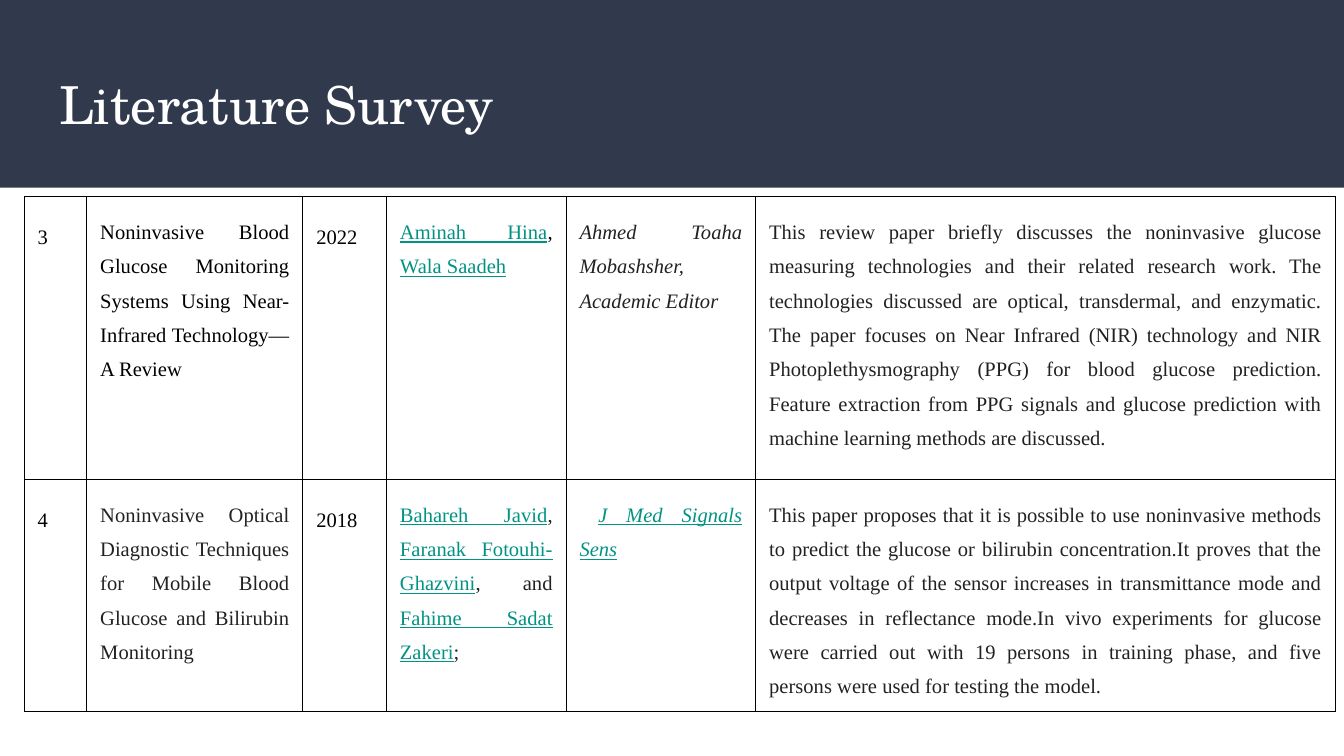
from dataclasses import dataclass

from lxml.etree import SubElement
from pptx import Presentation
from pptx.dml.color import RGBColor
from pptx.enum.shapes import MSO_SHAPE
from pptx.enum.text import MSO_ANCHOR, MSO_AUTO_SIZE, PP_ALIGN
from pptx.oxml.ns import qn
from pptx.util import Pt


@dataclass(frozen=True)
class Theme:
    """Colours, fonts and type sizes."""
    band: str = "31394D"
    white: str = "FFFFFF"
    black: str = "000000"
    dark: str = "212121"
    grey: str = "222222"
    link: str = "009384"
    head: str = "TeX Gyre Schola"
    body: str = "Times New Roman"
    big: float = 28
    small: float = 11
    inset: float = 7.2
    rule: float = 0.56


THEME = Theme()


@dataclass(frozen=True)
class Span:
    """A stretch of text in one look."""
    text: str
    color: str = THEME.grey
    italic: bool = False
    under: bool = False


def link(text, italic=False):
    """Return a span that looks like a link."""
    return Span(text, THEME.link, italic, True)


def black(text):
    """Return a plain black span."""
    return Span(text, THEME.black)


class Deck:
    """The style and the current slide."""

    def __init__(self, theme, width, height):
        self.theme = theme
        self.file = Presentation()
        self.file.slide_width, self.file.slide_height = Pt(width), Pt(height)
        self.slide = self.file.slides.add_slide(self.file.slide_layouts[5])

    def style(self, run, font, size, color):
        """Set the face, size and colour of a run."""
        run.font.name = font
        run.font.size = Pt(size)
        run.font.color.rgb = RGBColor.from_string(color)

    def inset(self, part):
        """Give a cell or text frame equal margins."""
        gap = Pt(self.theme.inset)
        part.margin_left = part.margin_right = gap
        part.margin_top = part.margin_bottom = gap

    def title(self, text, left, top, width, height):
        """Place and format the title."""
        box = self.slide.shapes.title
        box.left, box.top = Pt(left), Pt(top)
        box.width, box.height = Pt(width), Pt(height)
        frame = box.text_frame
        frame.text = text
        frame.auto_size = MSO_AUTO_SIZE.NONE
        frame.vertical_anchor = MSO_ANCHOR.MIDDLE
        self.inset(frame)
        line = frame.paragraphs[0]
        line.alignment = PP_ALIGN.LEFT
        self.style(line.runs[0], self.theme.head, self.theme.big, self.theme.white)

    def band(self, width, height):
        """Draw the header band behind the title."""
        shape = self.slide.shapes.add_shape(MSO_SHAPE.RECTANGLE, 0, 0, Pt(width), Pt(height))
        shape.shadow.inherit = False
        shape.fill.solid()
        shape.fill.fore_color.rgb = RGBColor.from_string(self.theme.band)
        shape.line.fill.background()
        self.slide.shapes.title.element.addprevious(shape.element)

    def border(self, cell):
        """Rule all four sides of a cell."""
        props = cell._tc.get_or_add_tcPr()
        for spot, side in enumerate(("lnL", "lnR", "lnT", "lnB")):
            line = SubElement(props, qn(f"a:{side}"), w=str(Pt(self.theme.rule)))
            fill = SubElement(line, qn("a:solidFill"))
            SubElement(fill, qn("a:srgbClr"), val=self.theme.black)
            props.insert(spot, line)

    def cell(self, cell, spans, lead, gap):
        """Fill one table cell with justified spans."""
        cell.fill.background()
        self.border(cell)
        self.inset(cell)
        para = cell.text_frame.paragraphs[0]
        para.alignment = PP_ALIGN.JUSTIFY
        para.line_spacing = lead
        para.space_before = para.space_after = Pt(gap)
        for span in spans:
            run = para.add_run()
            run.text = span.text
            self.style(run, self.theme.body, self.theme.small, span.color)
            run.font.italic = span.italic
            run.font.underline = span.under

    def table(self, rows, left, top, widths, heights, gaps):
        """Build the table; number and year columns have looser lines."""
        frame = self.slide.shapes.add_table(
            len(rows), len(widths), Pt(left), Pt(top), Pt(sum(widths)), Pt(sum(heights)))
        grid = frame.table
        grid.first_row = grid.horz_banding = False
        for col, width in zip(grid.columns, widths):
            col.width = Pt(width)
        for row, height, items, gap in zip(grid.rows, heights, rows, gaps):
            row.height = Pt(height)
            for spot, (cell, spans) in enumerate(zip(row.cells, items)):
                lead, space = (1.71, 19) if spot in (0, 2) else (1.5, gap)
                self.cell(cell, spans, lead, space)

    def save(self):
        """Write the file."""
        self.file.save("out.pptx")


ROWS = [
    [
        [black("3")],
        [black("Noninvasive Blood Glucose Monitoring Systems Using "
               "Near-Infrared Technology—A Review")],
        [black("2022")],
        [link("Aminah Hina"), black(", "), link("Wala Saadeh")],
        [Span("Ahmed Toaha Mobashsher, Academic Editor", THEME.dark, True)],
        [Span("This review paper briefly discusses the noninvasive glucose measuring "
              "technologies and their related research work. The technologies discussed "
              "are optical, transdermal, and enzymatic. The paper focuses on Near Infrared "
              "(NIR) technology and NIR Photoplethysmography (PPG) for blood glucose "
              "prediction. Feature extraction from PPG signals and glucose prediction with "
              "machine learning methods are discussed.", THEME.dark)],
    ],
    [
        [black("4")],
        [Span("Noninvasive Optical Diagnostic Techniques for Mobile Blood Glucose "
              "and Bilirubin Monitoring")],
        [black("2018")],
        [link("Bahareh Javid"), Span(", "), link("Faranak Fotouhi-Ghazvini"),
         Span(", and "), link("Fahime Sadat Zakeri"), Span(";")],
        [Span(" "), link("J Med Signals Sens", True)],
        [Span("This paper proposes that it is possible to use noninvasive methods to "
              "predict the glucose or bilirubin concentration.It proves that the output "
              "voltage of the sensor increases in transmittance mode and decreases in "
              "reflectance mode.In vivo experiments for glucose were carried out with 19 "
              "persons in training phase, and five persons were used for testing the model.")],
    ],
]


def main():
    """Build the slide."""
    deck = Deck(THEME, 720, 405)
    deck.band(720, 100.5)
    deck.title("Literature Survey", 24.5, 31, 671, 49)
    deck.table(ROWS, 13, 105.2, (33.5, 115.8, 44.8, 96.2, 101.6, 310.6),
               (151.5, 118.8), (0, 12))
    deck.save()


if __name__ == "__main__":
    main()
